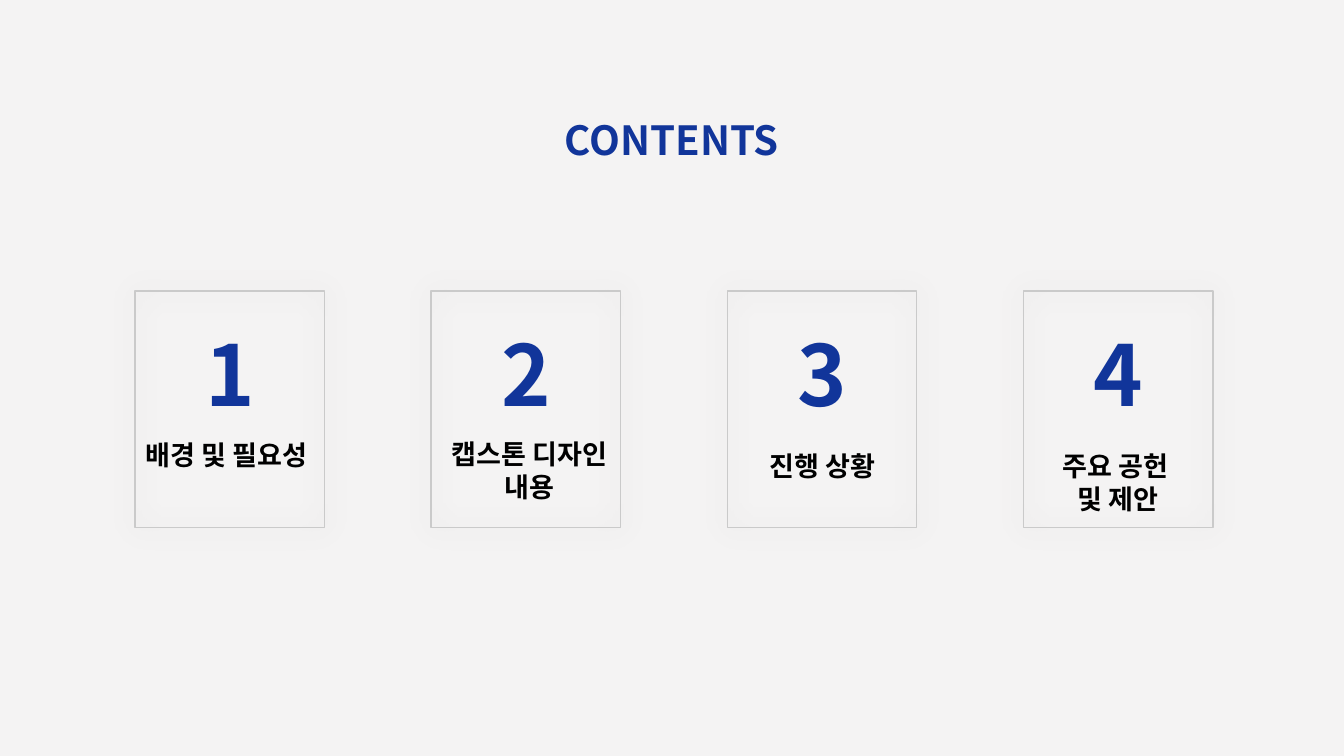
import pptx
import pptx.util
import pptx.dml.color
import pptx.enum.text
import pptx.enum.shapes
import pptx.oxml.ns
from lxml import etree

Pt = pptx.util.Pt
qn = pptx.oxml.ns.qn
FONT = "Noto Sans CJK KR"
BLUE = "11359A"
BLACK = "000000"
CARDS = [
    ("1", ["배경 및 필요성"], -2, 463),
    ("2", ["캡스톤 디자인", "내용"], 6, 461.5),
    ("3", ["진행 상황"], 2, 474.5),
    ("4", ["주요 공헌 ", "및 제안"], 2, 474.5),
]
LEFT, STEP = 144.7, 317.3
TOP, WIDTH, HEIGHT = 311.8, 203, 253.4


def paint(color, code):
    color.rgb = pptx.dml.color.RGBColor.from_string(code)


def place(shape, left, top, width, height):
    shape.left, shape.top = Pt(left), Pt(top)
    shape.width, shape.height = Pt(width), Pt(height)


def write(shape, lines, size=29, color=BLACK):
    frame = shape.text_frame
    frame.word_wrap = True
    frame.auto_size = pptx.enum.text.MSO_AUTO_SIZE.SHAPE_TO_FIT_TEXT
    frame.vertical_anchor = pptx.enum.text.MSO_ANCHOR.TOP
    frame.margin_left = frame.margin_right = Pt(7.2)
    frame.margin_top = frame.margin_bottom = Pt(7.2)
    frame.text = "\n".join(lines)
    for para in frame.paragraphs:
        para.alignment = pptx.enum.text.PP_ALIGN.CENTER
        para.line_spacing = 1.0
        para.space_before = Pt(0)
        for run in para.runs:
            run.font.size = Pt(size)
            run.font.bold = True
            run.font.name = FONT
            paint(run.font.color, color)
            props = run._r.get_or_add_rPr()
            etree.SubElement(props, qn("a:ea"), typeface=FONT)


def label(slide, lines, left, top, width, height, **style):
    box = slide.shapes.add_textbox(Pt(left), Pt(top), Pt(width), Pt(height))
    write(box, lines, **style)


def glow(shape):
    shape.shadow.inherit = False
    effects = shape._element.spPr.find(qn("a:effectLst"))
    outer = etree.SubElement(effects, qn("a:outerShdw"),
                             blurRad=str(Pt(28)), dist="0", dir="0",
                             algn="ctr", rotWithShape="0")
    tint = etree.SubElement(outer, qn("a:srgbClr"), val=BLACK)
    etree.SubElement(tint, qn("a:alpha"), val="19100")


def frame(slide, left):
    kind = pptx.enum.shapes.MSO_SHAPE.RECTANGLE
    rect = slide.shapes.add_shape(kind, Pt(left), Pt(TOP), Pt(WIDTH), Pt(HEIGHT))
    rect.fill.background()
    paint(rect.line.color, "CACACA")
    rect.line.width = Pt(1.5)
    glow(rect)


def card(slide, left, number, lines, shift, top):
    frame(slide, left)
    label(slide, [number], left + 61, 338.5, 82, 124, size=90, color=BLUE)
    label(slide, lines, left + shift, top, 199.4, 50 + 35 * (len(lines) - 1))


def main():
    deck = pptx.Presentation()
    deck.slide_width, deck.slide_height = Pt(1440), Pt(810)
    slide = deck.slides.add_slide(deck.slide_layouts[5])
    slide.background.fill.solid()
    paint(slide.background.fill.fore_color, "F4F3F3")
    title = slide.shapes.title
    place(title, 525, 116.6, 390, 67)
    write(title, ["CONTENTS"], size=43, color=BLUE)
    for index, item in enumerate(CARDS):
        card(slide, LEFT + index * STEP, *item)
    deck.save("out.pptx")


if __name__ == "__main__":
    main()
